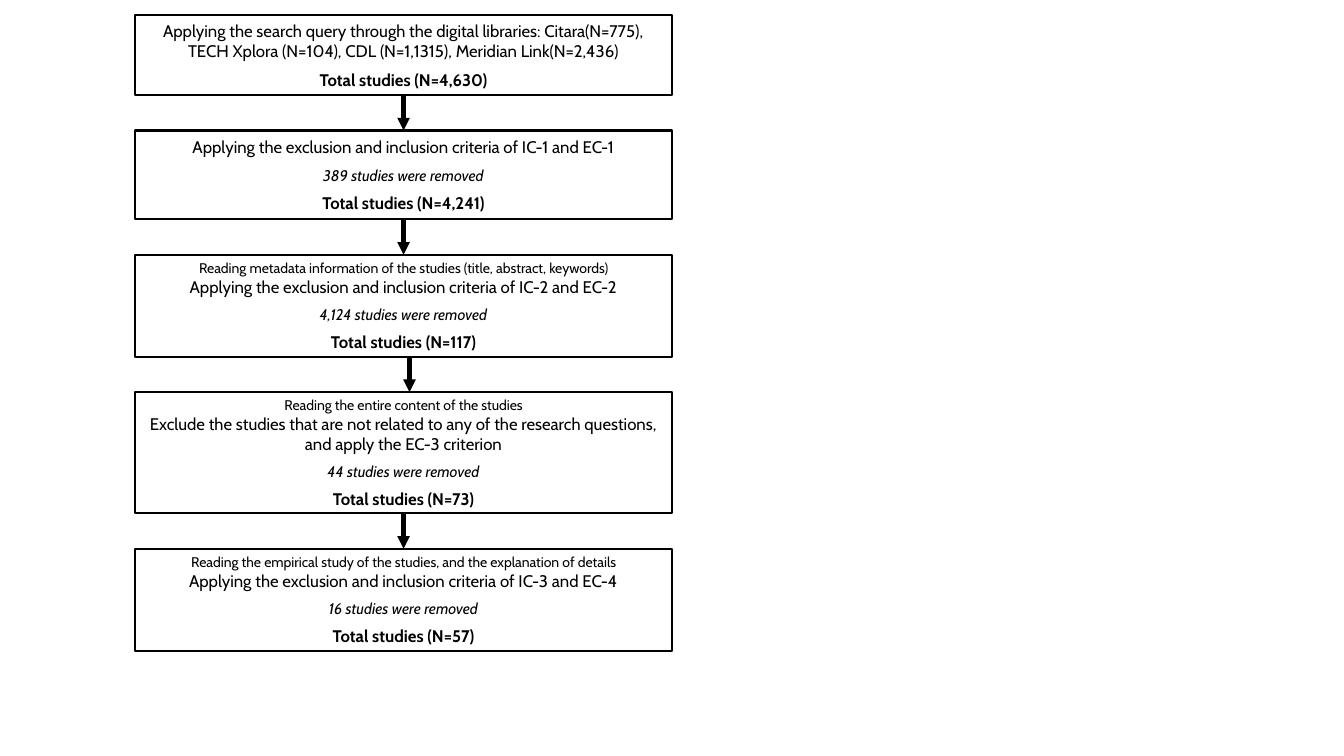
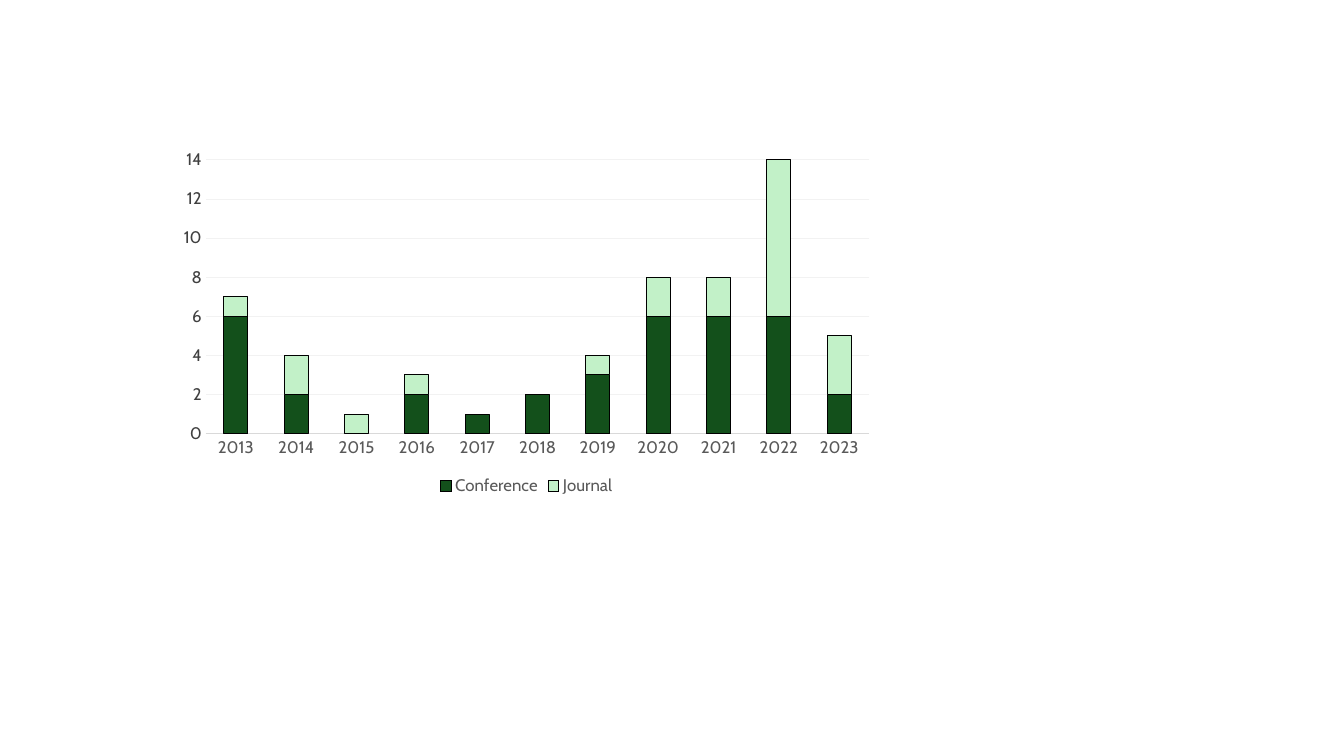
from lxml import etree
from pptx import Presentation, util as u
from pptx.chart.data import CategoryChartData
from pptx.dml.color import RGBColor
from pptx.enum import chart as ch, shapes, text
from pptx.oxml.ns import qn

FONT = "Cabin"
BLACK = RGBColor(0x00, 0x00, 0x00)
WHITE = RGBColor(0xFF, 0xFF, 0xFF)
DARK_GREEN = RGBColor(0x13, 0x50, 0x1B)
LIGHT_GREEN = RGBColor(0xC2, 0xF1, 0xC8)
LABEL_GRAY = RGBColor(0x59, 0x59, 0x59)
VALUE_GRAY = RGBColor(0x40, 0x40, 0x40)
AXIS_GRAY = RGBColor(0xD9, 0xD9, 0xD9)
GRID_GRAY = RGBColor(0xF2, 0xF2, 0xF2)

STAGES = [
    dict(height=2.02,
         action="Applying the search query through the digital libraries: Citara(N=775), "
                "TECH Xplora (N=104), CDL (N=1,1315), Meridian Link(N=2,436)",
         total="4,630"),
    dict(height=2.24,
         action="Applying the exclusion and inclusion criteria of IC-1 and EC-1",
         removed="389", total="4,241"),
    dict(height=2.57,
         reading="Reading metadata information of the studies (title, abstract, keywords)",
         action="Applying the exclusion and inclusion criteria of IC-2 and EC-2",
         removed="4,124", total="117", arrow_shift=0.15),
    dict(height=3.06,
         reading="Reading the entire content of the studies",
         action="Exclude the studies that are not related to any of the research questions, "
                "and apply the EC-3 criterion",
         removed="44", total="73"),
    dict(height=2.57,
         reading="Reading the empirical study of the studies, and the explanation of details",
         action="Applying the exclusion and inclusion criteria of IC-3 and EC-4",
         removed="16", total="57"),
]
STAGE_LEFT, STAGE_TOP, STAGE_WIDTH, STAGE_GAP = 3.4, 0.38, 13.54, 0.89

YEARS = [str(year) for year in range(2013, 2024)]
PUBLICATIONS = [
    ("Conference", (6, 2, 0, 2, 1, 2, 3, 6, 6, 6, 2), DARK_GREEN),
    ("Journal", (1, 2, 1, 1, 0, 0, 1, 2, 2, 8, 3), LIGHT_GREEN),
]


def style_font(font, size, color=BLACK, bold=False, italic=False):
    font.name = FONT
    font.size = u.Pt(size)
    font.color.rgb = color
    font.bold = bold
    font.italic = italic


def style_line(line, color, width):
    line.color.rgb = color
    line.width = u.Pt(width)


def write(frame, words, first=False, before=0, **style):
    paragraph = frame.paragraphs[0] if first else frame.add_paragraph()
    paragraph.alignment = text.PP_ALIGN.CENTER
    paragraph.space_before = u.Pt(before)
    run = paragraph.add_run()
    run.text = words
    style_font(run.font, **style)


def stage_lines(stage):
    if "reading" in stage:
        yield stage["reading"], dict(size=10)
    yield stage["action"], dict(size=12)
    if "removed" in stage:
        yield f"{stage['removed']} studies were removed", dict(size=11, italic=True, before=6)
    yield f"Total studies (N={stage['total']})", dict(size=12, bold=True, before=6)


def add_stage(slide, stage, top):
    box = slide.shapes.add_shape(
        shapes.MSO_SHAPE.RECTANGLE, u.Cm(STAGE_LEFT), u.Cm(top),
        u.Cm(STAGE_WIDTH), u.Cm(stage["height"]))
    box.shadow.inherit = False
    box.fill.solid()
    box.fill.fore_color.rgb = WHITE
    style_line(box.line, BLACK, 1.5)
    frame = box.text_frame
    frame.word_wrap = True
    frame.vertical_anchor = text.MSO_ANCHOR.MIDDLE
    for index, (words, style) in enumerate(stage_lines(stage)):
        write(frame, words, first=index == 0, **style)


def add_arrow(slide, x, top, bottom):
    arrow = slide.shapes.add_connector(
        shapes.MSO_CONNECTOR.STRAIGHT, u.Cm(x), u.Cm(top), u.Cm(x), u.Cm(bottom))
    style_line(arrow.line, BLACK, 3)
    etree.SubElement(arrow.line._get_or_add_ln(), qn("a:tailEnd"), type="triangle")
    etree.SubElement(arrow._element.spPr, qn("a:effectLst"))


def build_selection_flow(slide):
    top = STAGE_TOP
    for index, stage in enumerate(STAGES):
        add_stage(slide, stage, top)
        bottom = top + stage["height"]
        top = bottom + STAGE_GAP
        if index < len(STAGES) - 1:
            center = STAGE_LEFT + STAGE_WIDTH / 2
            add_arrow(slide, center + stage.get("arrow_shift", 0), bottom, top)


def build_publication_chart(slide):
    data = CategoryChartData()
    data.categories = YEARS
    for name, counts, _ in PUBLICATIONS:
        data.add_series(name, counts)
    chart = slide.shapes.add_chart(
        ch.XL_CHART_TYPE.COLUMN_STACKED, u.Cm(4.27), u.Cm(3.6),
        u.Cm(18), u.Cm(9), data).chart
    style_font(chart.font, 10)
    chart.has_title = False
    chart.has_legend = True
    chart.legend.position = ch.XL_LEGEND_POSITION.BOTTOM
    chart.legend.include_in_layout = False
    style_font(chart.legend.font, 12, LABEL_GRAY)

    plot = chart.plots[0]
    plot.gap_width = 150
    plot.overlap = 100
    plot.vary_by_categories = False
    for series, (_, _, color) in zip(plot.series, PUBLICATIONS):
        series.format.fill.solid()
        series.format.fill.fore_color.rgb = color
        style_line(series.format.line, BLACK, 0.75)

    years, counts = chart.category_axis, chart.value_axis
    for axis, color in ((years, LABEL_GRAY), (counts, VALUE_GRAY)):
        axis.major_tick_mark = ch.XL_TICK_MARK.NONE
        axis.minor_tick_mark = ch.XL_TICK_MARK.NONE
        style_font(axis.tick_labels.font, 12, color)
    style_line(years.format.line, AXIS_GRAY, 0.75)
    counts.format.line.fill.background()
    counts.minimum_scale = 0
    counts.maximum_scale = 14
    counts.major_unit = 2
    counts.has_major_gridlines = True
    style_line(counts.major_gridlines.format.line, GRID_GRAY, 0.75)


def main():
    deck = Presentation()
    deck.slide_width, deck.slide_height = u.Cm(33.87), u.Cm(19.05)
    blank = deck.slide_layouts[6]
    for build in (build_selection_flow, build_publication_chart):
        build(deck.slides.add_slide(blank))
    deck.save("out.pptx")


if __name__ == "__main__":
    main()
